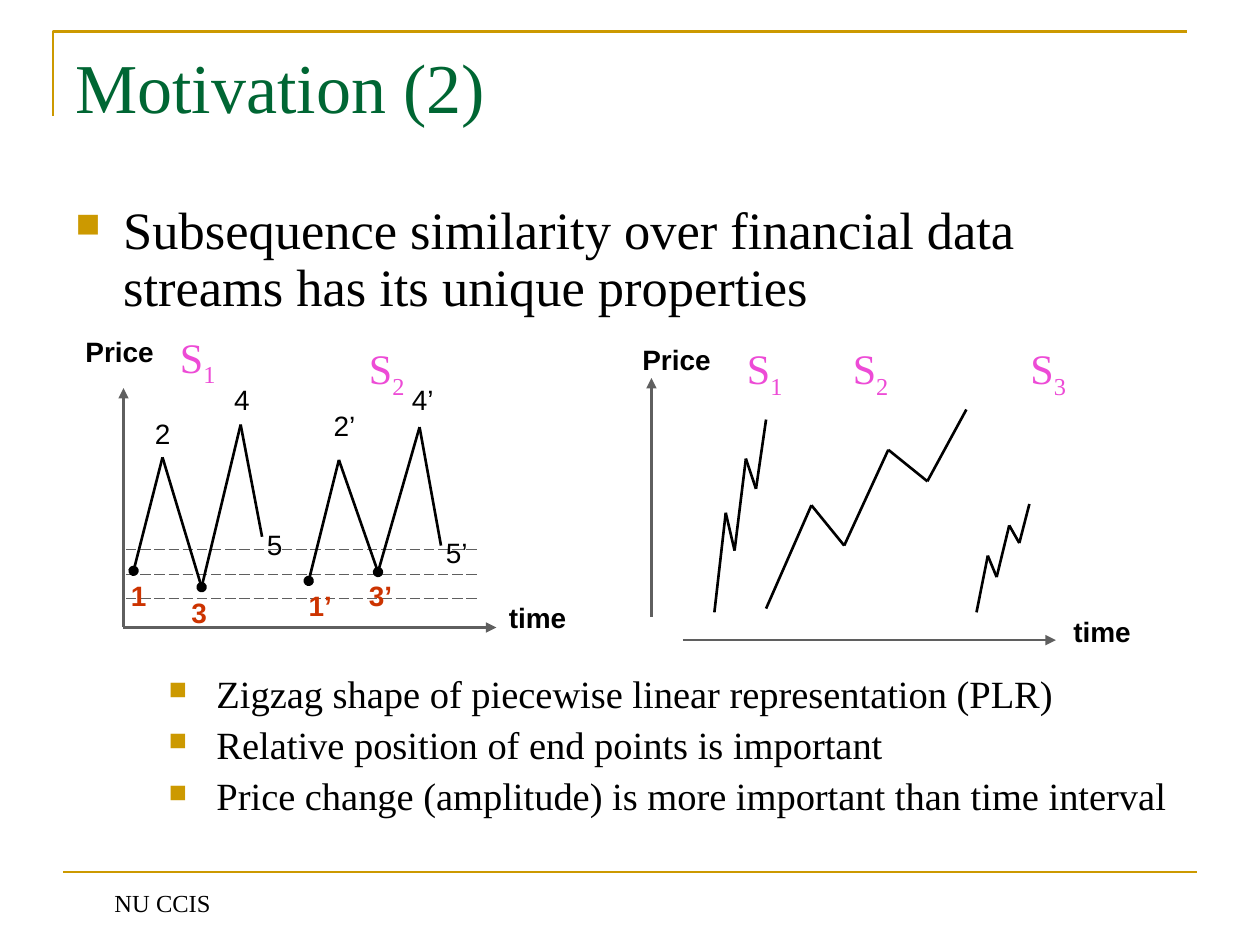
from itertools import pairwise
from lxml.etree import SubElement as add_node
from pptx import Presentation
from pptx.dml.color import RGBColor
from pptx.enum.dml import MSO_LINE as Dash
from pptx.enum.shapes import MSO_CONNECTOR as Link
from pptx.enum.text import MSO_ANCHOR as Anchor, PP_ALIGN as Align
from pptx.oxml.ns import qn
from pptx.util import Inches, Pt

GOLD, GREEN, BLACK = "CC9900", "006633", "000000"
GRAY, RED, PINK = "5F5F5F", "CC3300", "ED4BD6"
SERIF, SANS = "Times New Roman", "Arial"


def color(code):
    return RGBColor.from_string(code)


class Board:
    def __init__(self, deck):
        self.slide = deck.slides.add_slide(deck.slide_layouts[6])
        self.shapes = self.slide.shapes

    def style(self, run, size, code, font, bold=False):
        run.font.size = Pt(size)
        run.font.name = font
        run.font.bold = bold
        run.font.color.rgb = color(code)

    def text(self, words, box, size, code=BLACK, font=SERIF, bold=False, before=0):
        shape = self.shapes.add_textbox(*map(Inches, box))
        frame = shape.text_frame
        frame.word_wrap = True
        frame.text = words
        for para in frame.paragraphs:
            para.space_before = Pt(before)
            for run in para.runs:
                self.style(run, size, code, font, bold)
        return frame

    def bullets(self, words, box, size, before, indent):
        frame = self.text(words, box, size, before=before)
        for para in frame.paragraphs:
            para.line_spacing = 0.9
            props = para._p.get_or_add_pPr()
            props.set("marL", str(Inches(indent)))
            props.set("indent", str(Inches(-0.38)))
            tint = add_node(props, qn("a:buClr"))
            add_node(tint, qn("a:srgbClr"), val=GOLD)
            add_node(props, qn("a:buSzPct"), val="65000")
            add_node(props, qn("a:buChar"), char="■")

    def label(self, words, left, top, width, code=BLACK, bold=False):
        self.text(words, (left, top, width, 0.37), 16, code, SANS, bold, 10)

    def series(self, digit, left, top):
        frame = self.text("S", (left, top, 0.67, 0.56), 24, PINK, before=15)
        run = frame.paragraphs[0].add_run()
        run.text = digit
        self.style(run, 24, PINK, SERIF)
        run.font._element.set("baseline", "-25000")

    def line(self, start, end, code=BLACK, width=1.5, head=None, tail=None, dash=None):
        link = self.shapes.add_connector(Link.STRAIGHT, *map(Inches, (*start, *end)))
        link.line.color.rgb = color(code)
        link.line.width = Pt(width)
        if dash:
            link.line.dash_style = dash
        for tag, kind in (("a:headEnd", head), ("a:tailEnd", tail)):
            if kind:
                add_node(link.line._get_or_add_ln(), qn(tag), type=kind)
        add_node(link._element.spPr, qn("a:effectLst"))

    def zigzag(self, points, dots=0):
        for step, pair in enumerate(pairwise(points)):
            low, high = sorted(pair, key=lambda point: -point[1])
            self.line(low, high, head="oval" if step < dots else None)

    def corner(self, points):
        first, *rest = [tuple(map(Inches, point)) for point in points]
        pen = self.shapes.build_freeform(*first)
        pen.add_line_segments(rest, close=False)
        shape = pen.convert_to_shape()
        shape.shadow.inherit = False
        shape.fill.background()
        shape.line.color.rgb = color(GOLD)
        shape.line.width = Pt(1.5)


def main():
    deck = Presentation()
    deck.slide_width, deck.slide_height = Inches(10), Inches(7.5)
    board = Board(deck)

    board.corner([(0.42, 0.92), (0.42, 0.25), (9.42, 0.25)])
    board.line((0.5, 6.92), (9.5, 6.92), GOLD)
    footer = board.text("NU CCIS", (0.5, 6.83, 1.58, 0.5), 14)
    footer.vertical_anchor = Anchor.BOTTOM
    footer.paragraphs[0].alignment = Align.CENTER

    board.text("Motivation (2)", (0.5, 0.3, 9, 1.2), 40, GREEN)
    board.bullets(
        "Subsequence similarity over financial data streams has its unique properties",
        (0.5, 1.57, 9, 1.1), 30, 7.5, 0.38)
    points = [
        "Zigzag shape of piecewise linear representation (PLR)",
        "Relative position of end points is important",
        "Price change (amplitude) is more important than time interval",
    ]
    board.bullets("\n".join(points), (0.5, 5.31, 9, 1.4), 22, 5.5, 1.12)

    board.line((0.98, 4.98), (3.94, 4.98), GRAY, tail="triangle")
    board.line((0.98, 3.08), (0.98, 4.98), GRAY, head="triangle")
    for level in (4.36, 4.56, 4.75):
        board.line((1, level), (3.81, level), GRAY, 0.75, dash=Dash.LONG_DASH)
    board.line((5.17, 3), (5.17, 4.9), GRAY, head="triangle")
    board.line((5.42, 5.08), (8.38, 5.08), GRAY, tail="triangle")

    board.zigzag([(1.06, 4.53), (1.29, 3.63), (1.6, 4.66), (1.91, 3.37), (2.08, 4.26)], 2)
    board.zigzag([(2.45, 4.61), (2.69, 3.65), (3, 4.54), (3.33, 3.39), (3.5, 4.33)], 2)
    board.zigzag([(5.67, 4.86), (5.76, 4.07), (5.83, 4.37),
                  (5.92, 3.64), (6, 3.88), (6.08, 3.33)])
    board.zigzag([(6.08, 4.83), (6.44, 4.01), (6.7, 4.33),
                  (7.05, 3.57), (7.36, 3.82), (7.67, 3.25)])
    board.zigzag([(7.75, 4.86), (7.84, 4.41), (7.91, 4.58),
                  (8.01, 4.17), (8.09, 4.31), (8.17, 4)])

    for words, left, top, width in [
        ("2", 1.13, 3.26, 0.31), ("4", 1.76, 2.99, 0.31), ("5", 2.02, 4.14, 0.31),
        ("2’", 2.55, 3.19, 0.53), ("4’", 3.17, 2.99, 0.66), ("5’", 3.44, 4.2, 0.48),
    ]:
        board.label(words, left, top, width)
    for words, left, top, width in [
        ("1", 0.94, 4.54, 0.31), ("3", 1.42, 4.68, 0.31),
        ("1’", 2.35, 4.62, 0.48), ("3’", 2.83, 4.54, 0.42),
    ]:
        board.label(words, left, top, width, RED, True)
    for words, left, top, width in [
        ("Price", 0.58, 2.61, 1.25), ("time", 3.94, 4.72, 0.73),
        ("Price", 5, 2.67, 1.25), ("time", 8.42, 4.83, 0.73),
    ]:
        board.label(words, left, top, width, bold=True)
    for digit, left, top in [
        ("1", 1.33, 2.58), ("2", 2.83, 2.67),
        ("1", 5.83, 2.67), ("2", 6.67, 2.67), ("3", 8.08, 2.67),
    ]:
        board.series(digit, left, top)

    deck.save("out.pptx")


if __name__ == "__main__":
    main()
